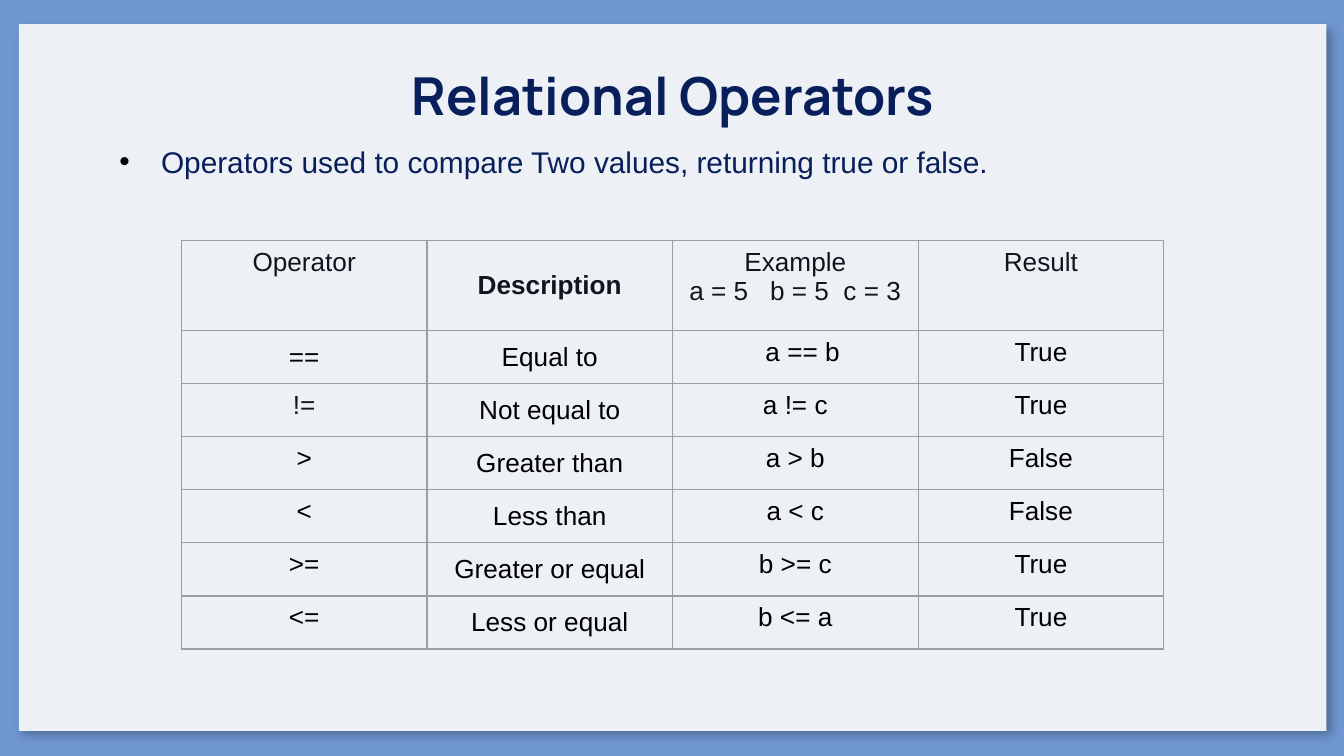
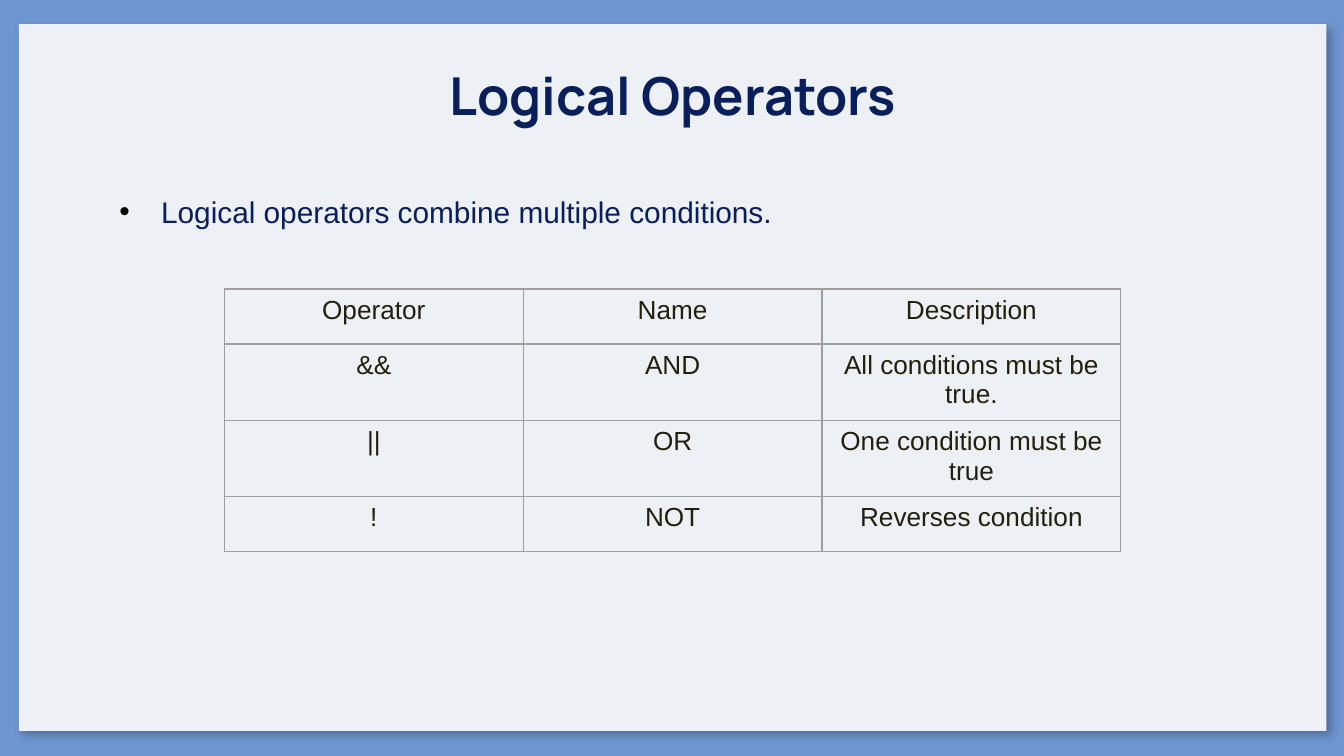
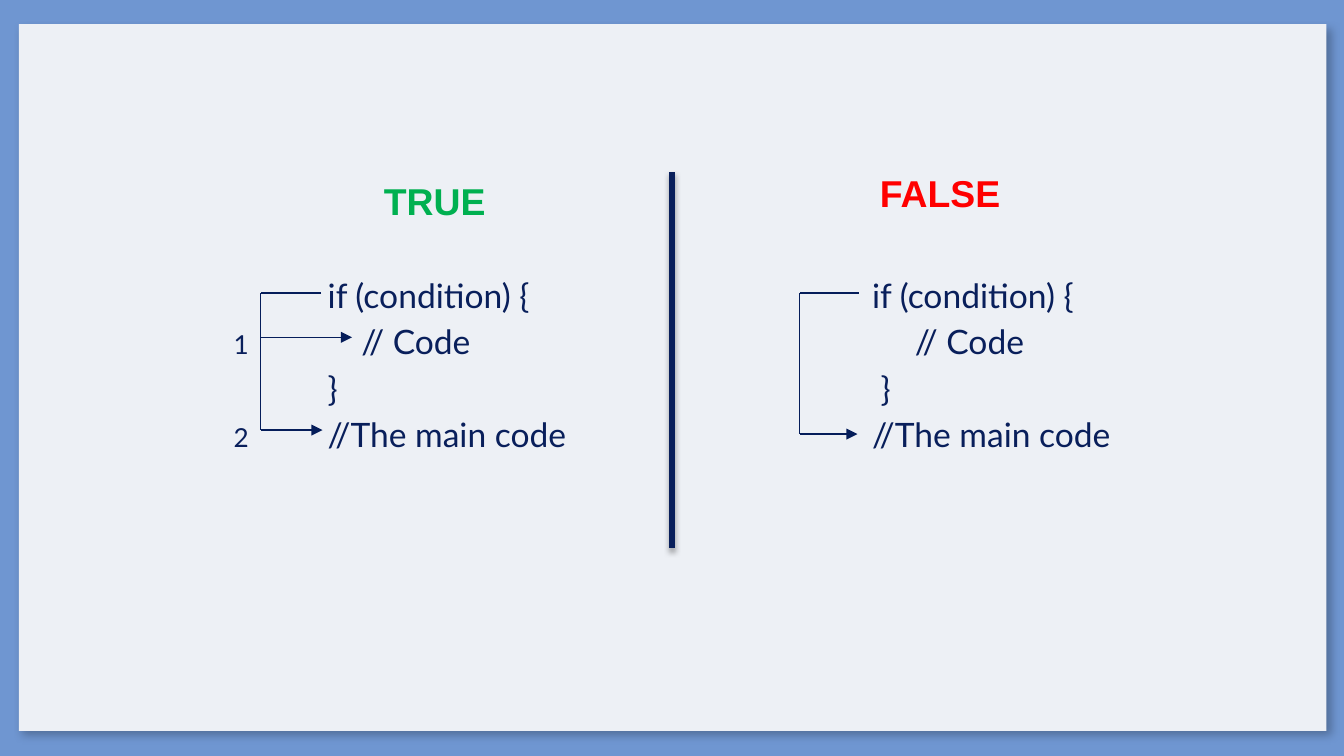
from lxml.etree import SubElement
from pptx import Presentation
from pptx.dml.color import RGBColor
from pptx.enum.shapes import MSO_CONNECTOR, MSO_SHAPE
from pptx.enum.text import MSO_ANCHOR, MSO_AUTO_SIZE, PP_ALIGN
from pptx.oxml.ns import qn
from pptx.util import Inches, Pt

BLUE = RGBColor(0x6F, 0x96, 0xD1)
PANEL = RGBColor(0xED, 0xF0, 0xF5)
NAVY = RGBColor(0x09, 0x1F, 0x5B)
FLOW_NAVY = RGBColor(0x05, 0x1D, 0x5A)
BLACK = RGBColor(0x00, 0x00, 0x00)
INK = RGBColor(0x11, 0x16, 0x1E)
OLIVE = RGBColor(0x21, 0x20, 0x0D)
GRID = RGBColor(0x9E, 0x9E, 0x9E)
GREEN = RGBColor(0x00, 0xB0, 0x50)
RED = RGBColor(0xFF, 0x00, 0x00)

SLIDE_WIDTH = 10
SLIDE_HEIGHT = SLIDE_WIDTH * 9 / 16
TITLE_ONLY, BLANK = 5, 6

RELATIONAL_ROWS = [
    ["Operator", "Description", "Example\na = 5   b = 5  c = 3", "Result"],
    ["==", "Equal to", "  a == b", "True"],
    ["!=", "Not equal to", "a != c", "True"],
    [">", "Greater than", "a > b", "False"],
    ["<", "Less than", "a < c", "False"],
    [">=", "Greater or equal", "b >= c", "True"],
    ["<=", "Less or equal", "b <= a", "True"],
]
LOGICAL_ROWS = [
    ["Operator", "Name", "Description"],
    ["&&", "AND", "All conditions must be true."],
    ["||", "OR", "One condition must be true"],
    ["!", "NOT", "Reverses condition"],
]
TRUE_CODE = [
    ("", "\tif (condition) {"),
    ("1", "\t\t// Code"),
    ("", "\t}"),
    ("2", "\t//The main code"),
]
FALSE_CODE = [
    ("", "if (condition) {"),
    ("", "     // Code"),
    ("", " }"),
    ("", "//The main code"),
]


def set_font(font, name, size, color, bold=False):
    font.name = name
    font.size = Pt(size)
    font.color.rgb = color
    font.bold = bold


def add_effects(shape, alpha=None, blur=0, distance=0, angle=0):
    effects = SubElement(shape.element.spPr, qn("a:effectLst"))
    if alpha:
        shadow = SubElement(
            effects, qn("a:outerShdw"), blurRad=str(Pt(blur)), dist=str(Pt(distance)),
            dir=str(angle * 60000), algn="bl", rotWithShape="0")
        color = SubElement(shadow, qn("a:srgbClr"), val=str(BLACK))
        SubElement(color, qn("a:alpha"), val=str(alpha * 1000))


def add_line(slide, start, end, color=FLOW_NAVY, width=0.75, arrow=False, shadow=()):
    line = slide.shapes.add_connector(
        MSO_CONNECTOR.STRAIGHT, *(Inches(value) for value in (*start, *end)))
    line.line.color.rgb = color
    line.line.width = Pt(width)
    if arrow:
        SubElement(line.element.spPr.find(qn("a:ln")), qn("a:tailEnd"), type="triangle")
    add_effects(line, *shadow)


def add_text_box(slide, box, margin=0.05):
    text_box = slide.shapes.add_textbox(*(Inches(value) for value in box))
    frame = text_box.text_frame
    frame.word_wrap = True
    frame.margin_top = frame.margin_bottom = Inches(margin)
    return frame


def style_master(presentation, slide):
    master = presentation.slide_master
    master.background.fill.solid()
    master.background.fill.fore_color.rgb = BLUE
    panel = slide.shapes.add_shape(
        MSO_SHAPE.RECTANGLE, Inches(0.14), Inches(0.18), Inches(9.73), Inches(5.26))
    panel.fill.solid()
    panel.fill.fore_color.rgb = PANEL
    panel.line.fill.background()
    add_effects(panel, 25, 4.5, 3.8, 50)
    master.shapes.element.insert(2, panel.element)


def set_title(slide, text):
    title = slide.shapes.title
    title.left, title.top = Inches(0.79), Inches(0.37)
    title.width, title.height = Inches(8.43), Inches(0.63)
    frame = title.text_frame
    frame.text = text
    frame.word_wrap = True
    frame.auto_size = MSO_AUTO_SIZE.NONE
    frame.vertical_anchor = MSO_ANCHOR.TOP
    frame.margin_left = frame.margin_right = Inches(0.1)
    frame.margin_top = frame.margin_bottom = Inches(0.1)
    paragraph = frame.paragraphs[0]
    paragraph.alignment = PP_ALIGN.CENTER
    set_font(paragraph.font, "Manrope", 28, NAVY, True)


def add_bullet(slide, box, text):
    frame = add_text_box(slide, box)
    frame.auto_size = MSO_AUTO_SIZE.SHAPE_TO_FIT_TEXT
    paragraph = frame.paragraphs[0]
    paragraph.text = text
    properties = paragraph._p.get_or_add_pPr()
    properties.set("marL", str(Inches(0.31)))
    properties.set("indent", str(Inches(-0.31)))
    bullet_color = SubElement(properties, qn("a:buClr"))
    SubElement(bullet_color, qn("a:srgbClr"), val=str(BLACK))
    SubElement(properties, qn("a:buFont"), typeface="Arial")
    SubElement(properties, qn("a:buChar"), char="•")
    set_font(paragraph.font, "Arial", 16, NAVY)


def set_borders(cell):
    properties = cell._tc.get_or_add_tcPr()
    for side in ("a:lnL", "a:lnR", "a:lnT", "a:lnB"):
        border = SubElement(properties, qn(side), w=str(Pt(0.75)))
        fill = SubElement(border, qn("a:solidFill"))
        SubElement(fill, qn("a:srgbClr"), val=str(GRID))


def add_grid(slide, left, top, width, row_heights, rows, color_of):
    columns = len(rows[0])
    table = slide.shapes.add_table(
        len(rows), columns, Inches(left), Inches(top),
        Inches(width), Inches(sum(row_heights))).table
    table.first_row = table.horz_banding = False
    for row_index, (height, texts) in enumerate(zip(row_heights, rows)):
        table.rows[row_index].height = Inches(height)
        for column_index, text in enumerate(texts):
            cell = table.cell(row_index, column_index)
            cell.text = text
            set_borders(cell)
            cell.fill.background()
            for paragraph in cell.text_frame.paragraphs:
                paragraph.alignment = PP_ALIGN.CENTER
                set_font(paragraph.font, "Arial", 14, color_of(row_index, text))
    return table


def add_relational_slide(slide):
    set_title(slide, "Relational Operators")
    add_bullet(slide, (0.79, 1.02, 6.82, 0.37),
               "Operators used to compare Two values, returning true or false.")
    table = add_grid(
        slide, 1.35, 1.79, 7.31, [0.67] + [2.37 / 6] * 6, RELATIONAL_ROWS,
        lambda row, text: INK if row == 0 or text == "!=" else BLACK)
    for row in range(len(RELATIONAL_ROWS)):
        table.cell(row, 1).vertical_anchor = MSO_ANCHOR.MIDDLE
    table.cell(1, 0).vertical_anchor = MSO_ANCHOR.MIDDLE
    table.cell(0, 1).text_frame.paragraphs[0].font.bold = True


def add_logical_slide(slide):
    set_title(slide, "Logical Operators")
    add_bullet(slide, (0.79, 1.39, 6.35, 0.37),
               "Logical operators combine multiple conditions.")
    add_grid(slide, 1.67, 2.15, 6.67, [0.41] * 4, LOGICAL_ROWS, lambda row, text: OLIVE)


def add_heading(slide, left, top, text, color):
    frame = add_text_box(slide, (left, top, 2.13, 0.44))
    frame.auto_size = MSO_AUTO_SIZE.SHAPE_TO_FIT_TEXT
    paragraph = frame.paragraphs[0]
    paragraph.text = text
    paragraph.alignment = PP_ALIGN.CENTER
    set_font(paragraph.font, "Arial", 20, color, True)


def add_code(slide, box, lines, tabs=()):
    frame = add_text_box(slide, box, 0.1)
    for index, (number, code) in enumerate(lines):
        paragraph = frame.add_paragraph() if index else frame.paragraphs[0]
        paragraph.line_spacing = 1.15
        if tabs:
            tab_list = SubElement(paragraph._p.get_or_add_pPr(), qn("a:tabLst"))
            for position in tabs:
                SubElement(tab_list, qn("a:tab"), pos=str(Inches(position)), algn="l")
        for text, size in ((number, 14), (code, 18)):
            if text:
                run = paragraph.add_run()
                run.text = text
                set_font(run.font, "Lato", size, NAVY)


def add_flow(slide, left, top, width, stops):
    add_line(slide, (left + width, top), (left, top))
    for stop, length in stops:
        add_line(slide, (left, top), (left, stop))
        add_line(slide, (left, stop), (left + length, stop), arrow=True)
        top = stop


def add_condition_slide(slide):
    add_code(slide, (1.64, 1.9, 3.25, 2.17), TRUE_CODE, (0.7, 0.95))
    add_flow(slide, 1.94, 2.18, 0.45, [(2.51, 0.68), (3.2, 0.46)])
    add_line(slide, (5, 1.28), (5, 4.08), NAVY, 3, shadow=(35, 3.1, 1.8, 90))
    add_flow(slide, 5.95, 2.18, 0.44, [(3.23, 0.43)])
    add_heading(slide, 2.17, 1.28, "TRUE", GREEN)
    add_heading(slide, 5.93, 1.22, "FALSE", RED)
    add_code(slide, (6.39, 1.9, 2.97, 2.17), FALSE_CODE)


def main():
    presentation = Presentation()
    presentation.slide_width = Inches(SLIDE_WIDTH)
    presentation.slide_height = Inches(SLIDE_HEIGHT)
    pages = [
        (TITLE_ONLY, add_relational_slide),
        (TITLE_ONLY, add_logical_slide),
        (BLANK, add_condition_slide),
    ]
    for index, (layout, build) in enumerate(pages):
        slide = presentation.slides.add_slide(presentation.slide_layouts[layout])
        if index == 0:
            style_master(presentation, slide)
        build(slide)
    presentation.save("out.pptx")


if __name__ == "__main__":
    main()
